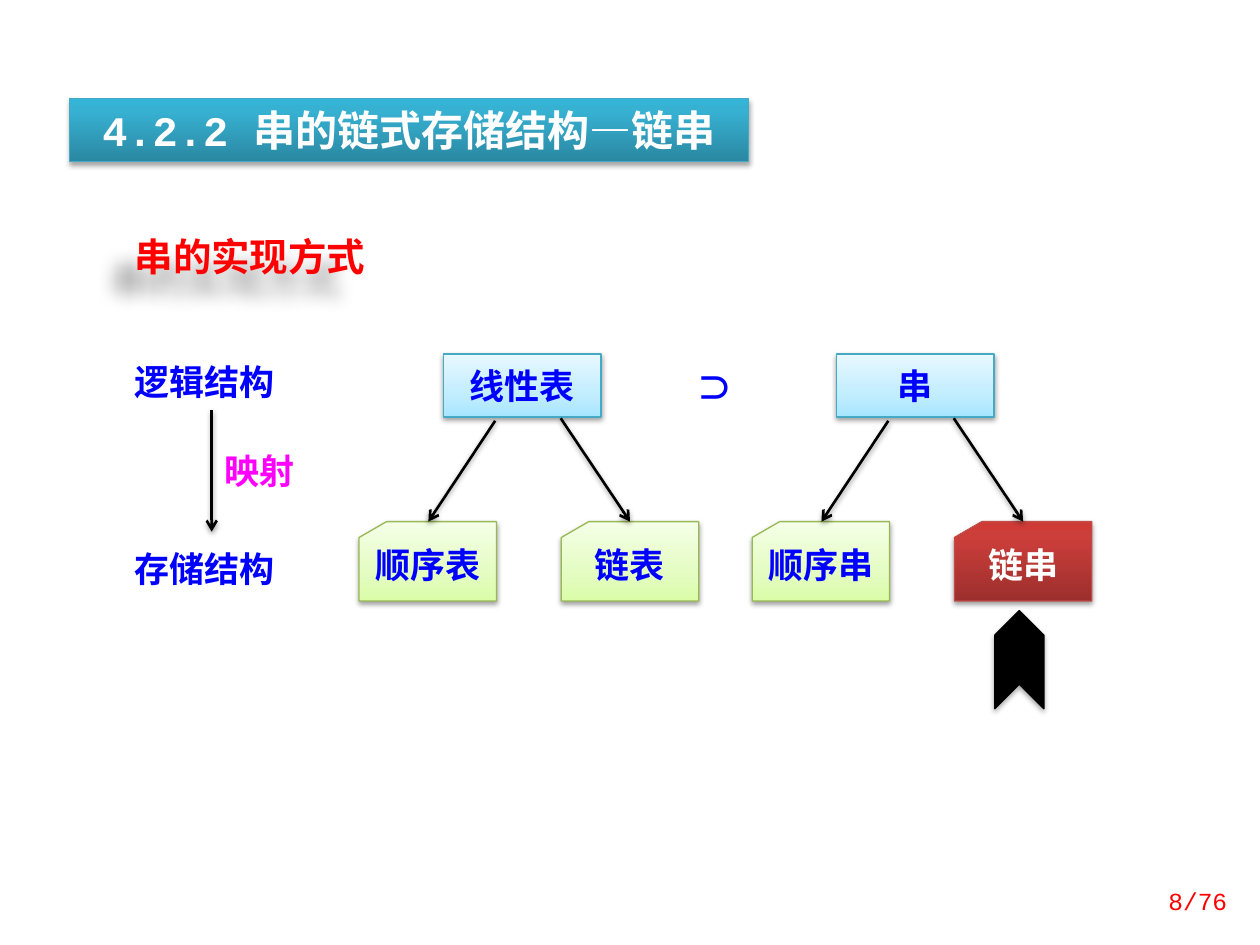
from lxml.etree import SubElement
from pptx import Presentation
from pptx.dml.color import RGBColor
from pptx.enum.shapes import MSO_CONNECTOR, MSO_SHAPE
from pptx.enum.text import MSO_ANCHOR, MSO_AUTO_SIZE, PP_ALIGN
from pptx.oxml.ns import qn
from pptx.util import Inches, Pt

COLORS = {"red": "FF0000", "blue": "0000FF", "magenta": "FF00FF",
          "white": "FFFFFF", "black": "000000",
          "aqua line": "46AAC5", "green line": "98B955", "red line": "BF4C48"}
# Gradients run from the bottom edge up: (position in percent, colour)
GRADIENTS = {
    "aqua": [(0, "A7E6FF"), (35, "C1EDFF"), (100, "E7F8FF")],
    "green": [(0, "DAFDA7"), (35, "E4FCC2"), (100, "F5FFE7")],
    "red": [(0, "9C2F2D"), (80, "CB3E3A"), (100, "CE3B37")],
    "teal": [(0, "2A88A2"), (80, "37B1D2"), (100, "34B4D6")],
}
MONO, SANS = "Courier New", "Noto Sans CJK SC"

# Grid: rows of the diagram and the step between the two trees
TOP_ROW, CARD_ROW = 2.81, 4.14
TREE_LEFT, TREE_STEP = 2.85, 3.12
CARD_STEP = 1.605


def rgb(name):
    return RGBColor.from_string(COLORS[name])


def box(left, top, width, height):
    return [Inches(value) for value in (left, top, width, height)]


def add_shadow(shape, blur=3.1, distance=1.6, angle=90, opacity=38):
    properties = shape._element.spPr
    effects = properties.find(qn("a:effectLst"))
    if effects is None:
        effects = SubElement(properties, qn("a:effectLst"))
    shadow = SubElement(effects, qn("a:outerShdw"), blurRad=str(Pt(blur)),
                        dist=str(Pt(distance)), dir=str(angle * 60000),
                        algn="ctr", rotWithShape="0")
    color = SubElement(shadow, qn("a:srgbClr"), val=COLORS["black"])
    SubElement(color, qn("a:alpha"), val=str(opacity * 1000))


def fill_gradient(shape, name):
    shape.fill.gradient()
    gradient = shape._element.spPr.find(qn("a:gradFill"))
    for child in list(gradient):
        gradient.remove(child)
    stops = SubElement(gradient, qn("a:gsLst"))
    for position, color in GRADIENTS[name]:
        stop = SubElement(stops, qn("a:gs"), pos=str(position * 1000))
        SubElement(stop, qn("a:srgbClr"), val=color)
    SubElement(gradient, qn("a:lin"), ang=str(270 * 60000), scaled="0")


def style(shape, gradient, line, **shadow):
    shape.shadow.inherit = False
    fill_gradient(shape, gradient)
    shape.line.color.rgb = rgb(line)
    shape.line.width = Pt(0.75)
    add_shadow(shape, **shadow)


def write(shape, text, color, size=20, font=SANS, bold=True,
          align=PP_ALIGN.LEFT, anchor=MSO_ANCHOR.TOP):
    frame = shape.text_frame
    frame.word_wrap = True
    frame.auto_size = MSO_AUTO_SIZE.NONE
    frame.vertical_anchor = anchor
    paragraph = frame.paragraphs[0]
    paragraph.alignment = align
    run = paragraph.add_run()
    run.text = text
    run.font.size, run.font.bold, run.font.name = Pt(size), bold, font
    run.font.color.rgb = rgb(color)
    SubElement(run._r.get_or_add_rPr(), qn("a:ea"), typeface=SANS)
    return paragraph


def add_label(slide, place, text, color, **text_format):
    label = slide.shapes.add_textbox(*box(*place))
    write(label, text, color, **text_format)
    return label


def add_node(slide, kind, place, text, gradient, line, color, margins):
    node = slide.shapes.add_shape(kind, *box(*place))
    style(node, gradient, line)
    write(node, text, color, align=PP_ALIGN.CENTER, anchor=MSO_ANCHOR.MIDDLE)
    node.text_frame.margin_top, node.text_frame.margin_bottom = map(Inches, margins)


def add_arrow(slide, start, end):
    arrow = slide.shapes.add_connector(
        MSO_CONNECTOR.STRAIGHT, *map(Inches, start + end))
    arrow.line.color.rgb = rgb("black")
    arrow.line.width = Pt(1.5)
    SubElement(arrow.line._get_or_add_ln(), qn("a:tailEnd"), type="arrow")
    add_shadow(arrow)


def add_tree(slide, left, root, leaves):
    add_node(slide, MSO_SHAPE.RECTANGLE, (left + 0.67, TOP_ROW, 1.25, 0.5),
             root, "aqua", "aqua line", "blue", (0.08, 0.08))
    for index, (text, gradient, line, color) in enumerate(leaves):
        add_node(slide, MSO_SHAPE.FLOWCHART_CARD,
                 (left + index * CARD_STEP, CARD_ROW, 1.09, 0.63),
                 text, gradient, line, color, (0.05, 0.12))
    add_arrow(slide, (left + 1.08, 3.34), (left + 0.55, CARD_ROW))
    add_arrow(slide, (left + 1.6, 3.32), (left + 2.15, CARD_ROW))


def add_title(slide):
    title = slide.shapes.title
    title.left, title.top, title.width, title.height = box(0.55, 0.78, 5.39, 0.5)
    style(title, "teal", "aqua line", distance=1.8, opacity=35)
    write(title, "4.2.2 串的链式存储结构—链串", "white", size=24, font=MONO,
          align=PP_ALIGN.CENTER, anchor=MSO_ANCHOR.MIDDLE)


def add_mapping(slide):
    for top, text in ((TOP_ROW, "逻辑结构"), (4.3, "存储结构")):
        add_label(slide, (0.97, top, 1.41, 0.44), text, "blue")
    add_arrow(slide, (1.68, 3.25), (1.68, 4.22))
    add_label(slide, (1.68, 3.52, 0.86, 0.44), "映射", "magenta")


def add_pointer(slide):
    pointer = slide.shapes.add_shape(MSO_SHAPE.CHEVRON, *box(7.7, 5.04, 0.78, 0.39))
    pointer.rotation = 270
    pointer.shadow.inherit = False
    pointer.fill.solid()
    pointer.fill.fore_color.rgb = rgb("black")
    pointer.line.color.rgb = rgb("black")
    pointer.line.width = Pt(0.75)
    add_shadow(pointer, distance=1.8, opacity=35)


def main():
    presentation = Presentation()
    presentation.slide_width, presentation.slide_height = Inches(10), Inches(7.5)
    slide = presentation.slides.add_slide(presentation.slide_layouts[5])

    # Title bar and heading
    add_title(slide)
    heading = add_label(slide, (0.97, 1.8, 2.19, 0.47), "串的实现方式", "red",
                        size=22, font=MONO)
    heading.fill.background()
    add_shadow(heading, blur=10, distance=19, angle=138, opacity=35)

    # Mapping from logical to storage structure
    add_mapping(slide)

    # Two trees joined by the superset sign
    green = ("green", "green line", "blue")
    add_tree(slide, TREE_LEFT, "线性表", [("顺序表", *green), ("链表", *green)])
    add_tree(slide, TREE_LEFT + TREE_STEP, "串",
             [("顺序串", *green), ("链串", "red", "red line", "white")])
    sign = slide.shapes.add_textbox(*box(5.48, 2.82, 0.47, 0.52))
    sign.rotation = 90
    write(sign, "∩", "blue").line_spacing = Pt(30)

    # Pointer to the current topic and page number
    add_pointer(slide)
    add_label(slide, (8.78, 6.95, 1.06, 0.4), "8/76", "red", size=14, font=MONO,
              bold=False, align=PP_ALIGN.RIGHT, anchor=MSO_ANCHOR.MIDDLE)

    presentation.save("out.pptx")


if __name__ == "__main__":
    main()
